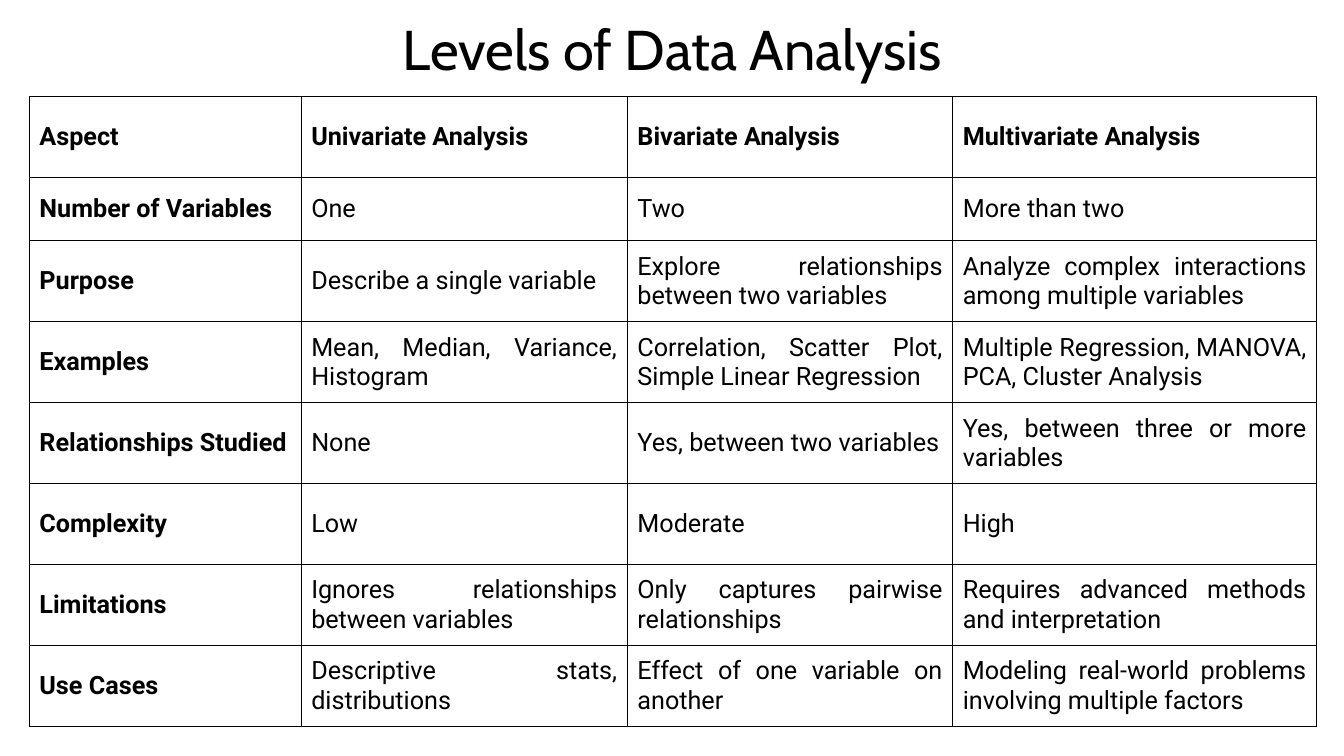
"""Build a slide with a table comparing the levels of data analysis."""
from lxml.etree import SubElement
from pptx import Presentation
from pptx.dml.color import RGBColor
from pptx.enum.text import MSO_ANCHOR, PP_ALIGN
from pptx.oxml.ns import qn
from pptx.util import Cm, Pt

BLACK = RGBColor(0x00, 0x00, 0x00)
WHITE = RGBColor(0xFF, 0xFF, 0xFF)
COLUMN_WIDTHS = [6.85, 8.22, 8.2, 9.17]
ROW_HEIGHT = 2.04
VARIABLES_ROW_HEIGHT = 1.6
ROWS = [
    ["Aspect", "Univariate Analysis", "Bivariate Analysis", "Multivariate Analysis"],
    ["Number of Variables", "One", "Two", "More than two"],
    ["Purpose", "Describe a single variable",
     "Explore relationships between two variables",
     "Analyze complex interactions among multiple variables"],
    ["Examples", "Mean, Median, Variance, Histogram",
     "Correlation, Scatter Plot, Simple Linear Regression",
     "Multiple Regression, MANOVA, PCA, Cluster Analysis"],
    ["Relationships Studied", "None", "Yes, between two variables",
     "Yes, between three or more variables"],
    ["Complexity", "Low", "Moderate", "High"],
    ["Limitations", "Ignores relationships between variables",
     "Only captures pairwise relationships",
     "Requires advanced methods and interpretation"],
    ["Use Cases", "Descriptive stats, distributions",
     "Effect of one variable on another",
     "Modeling real-world problems involving multiple factors"],
]


def write_text(text_frame, text, font="Roboto", size=18, bold=False,
               alignment=PP_ALIGN.JUSTIFY, line_spacing=1.0):
    paragraph = text_frame.paragraphs[0]
    paragraph.alignment = alignment
    paragraph.line_spacing = line_spacing
    run = paragraph.add_run()
    run.text = text
    run.font.name = font
    run.font.size = Pt(size)
    run.font.bold = bold
    run.font.color.rgb = BLACK


def add_borders(cell):
    properties = cell._tc.get_or_add_tcPr()
    for position, side in enumerate(["a:lnL", "a:lnR", "a:lnT", "a:lnB"]):
        line = properties.makeelement(qn(side), {"w": str(Pt(1))})
        fill = SubElement(line, qn("a:solidFill"))
        SubElement(fill, qn("a:srgbClr"), {"val": str(BLACK)})
        properties.insert(position, line)


presentation = Presentation()
presentation.slide_width = Cm(33.87)
presentation.slide_height = Cm(19.05)
slide = presentation.slides.add_slide(presentation.slide_layouts[5])
slide.background.fill.solid()
slide.background.fill.fore_color.rgb = WHITE

title = slide.shapes.title
title.left, title.top = Cm(2.33), Cm(0.36)
title.width, title.height = Cm(29.21), Cm(1.93)
title.text_frame.vertical_anchor = MSO_ANCHOR.MIDDLE
write_text(title.text_frame, "Levels of Data Analysis", font="Cabin", size=40,
           alignment=PP_ALIGN.CENTER, line_spacing=0.9)

row_heights = [ROW_HEIGHT] * len(ROWS)
row_heights[1] = VARIABLES_ROW_HEIGHT
table = slide.shapes.add_table(
    len(ROWS), len(COLUMN_WIDTHS), Cm(0.74), Cm(2.43),
    Cm(sum(COLUMN_WIDTHS)), Cm(sum(row_heights))).table
for column, width in zip(table.columns, COLUMN_WIDTHS):
    column.width = Cm(width)
for row, height in zip(table.rows, row_heights):
    row.height = Cm(height)

for row_index, texts in enumerate(ROWS):
    for column_index, text in enumerate(texts):
        cell = table.cell(row_index, column_index)
        cell.vertical_anchor = MSO_ANCHOR.MIDDLE
        cell.fill.background()
        add_borders(cell)
        write_text(cell.text_frame, text, bold=row_index == 0 or column_index == 0)

presentation.save("out.pptx")
